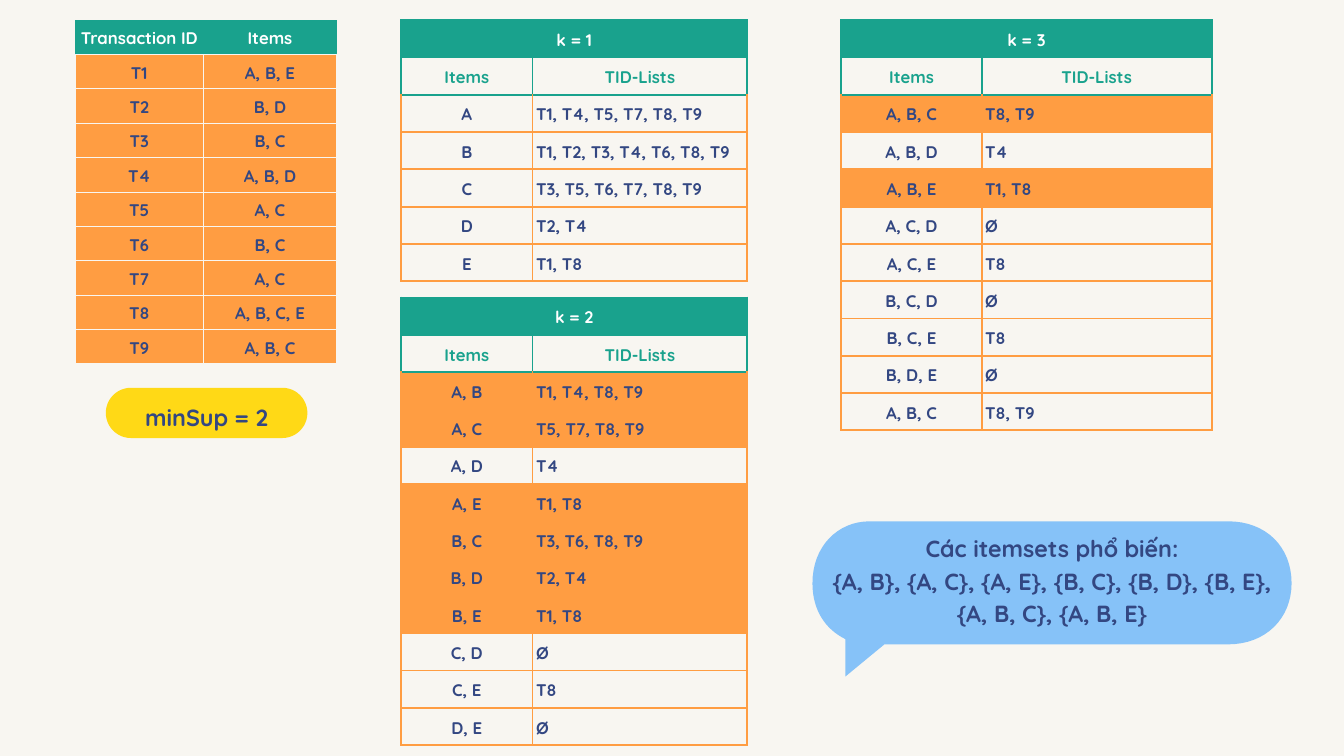
from lxml.etree import SubElement
from pptx import Presentation
from pptx.dml.color import RGBColor
from pptx.enum.shapes import MSO_SHAPE
from pptx.enum.text import MSO_ANCHOR, PP_ALIGN
from pptx.oxml.ns import qn
from pptx.util import Cm, Pt

CREAM, GREEN, ORANGE = "F8F6F1", "19A28D", "FF9D42"
NAVY, WHITE, BLUE, YELLOW = "334782", "FFFFFF", "86C2F8", "FFD916"


def paint(fill, color):
    fill.solid()
    fill.fore_color.rgb = RGBColor.from_string(color)


def write(frame, *lines, size=18, color=NAVY, align=PP_ALIGN.CENTER, spacing=25.2):
    frame.word_wrap = True
    for i, line in enumerate(lines):
        paragraph = frame.add_paragraph() if i else frame.paragraphs[0]
        paragraph.alignment = align
        paragraph.line_spacing = Pt(spacing)
        run = paragraph.add_run()
        run.text = line
        run.font.name, run.font.size, run.font.bold = "Quicksand", Pt(size), True
        paint(run.font.fill, color)


prs = Presentation()
prs.slide_width, prs.slide_height = Cm(50.8), Cm(28.58)
slide = prs.slides.add_slide(prs.slide_layouts[6])
paint(slide.background.fill, CREAM)
shapes = slide.shapes

# Transactions, then the candidate itemsets of each size k
transactions = ["A, B, E", "B, D", "B, C", "A, B, D", "A, C",
                "B, C", "A, C", "A, B, C, E", "A, B, C"]
tid_header = [("Items", "TID-Lists")]
singles = [("A", "T1, T4, T5, T7, T8, T9"), ("B", "T1, T2, T3, T4, T6, T8, T9"),
           ("C", "T3, T5, T6, T7, T8, T9"), ("D", "T2, T4"), ("E", "T1, T8")]
pairs = [("A, B", "T1, T4, T8, T9"), ("A, C", "T5, T7, T8, T9"), ("A, D", "T4"),
         ("A, E", "T1, T8"), ("B, C", "T3, T6, T8, T9"), ("B, D", "T2, T4"),
         ("B, E", "T1, T8"), ("C, D", "Ø"), ("C, E", "T8"), ("D, E", "Ø")]
triples = [("A, B, C", "T8, T9"), ("A, B, D", "T4"), ("A, B, E", "T1, T8"),
           ("A, C, D", "Ø"), ("A, C, E", "T8"), ("B, C, D", "Ø"),
           ("B, C, E", "T8"), ("B, D, E", "Ø"), ("A, B, C", "T8, T9")]

# k, left, top, column widths, row height, rows, highlighted body rows
tables = [
    (0, 2.84, 0.76, (4.85, 5.03), 1.3,
     [("Transaction ID", "Items")]
     + [(f"T{n}", items) for n, items in enumerate(transactions, 1)], range(9)),
    (1, 15.16, 0.76, (4.97, 8.12), 1.41, tid_header + singles, ()),
    (2, 15.16, 11.25, (4.97, 8.12), 1.41, tid_header + pairs, (0, 1, 3, 4, 5, 6)),
    (3, 31.8, 0.76, (5.31, 8.69), 1.41, tid_header + triples, (0, 2)),
]

for k, left, top, widths, row_height, rows, highlighted in tables:
    if k:
        rows = [(f"k = {k}", "")] + rows
    header_rows = 2 if k else 1
    margin = Cm(0.13 if k else 0.08)
    table = shapes.add_table(len(rows), 2, Cm(left), Cm(top), Cm(sum(widths)),
                             Cm(row_height * len(rows))).table
    table.first_row = table.horz_banding = False
    for column, width in zip(table.columns, widths):
        column.width = Cm(width)
    if k:
        table.cell(0, 0).merge(table.cell(0, 1))

    for r, row in enumerate(rows):
        table.rows[r].height = Cm(row_height)
        for c, text in enumerate(row):
            cell = table.cell(r, c)
            cell.vertical_anchor = MSO_ANCHOR.MIDDLE
            cell.margin_left = cell.margin_right = margin
            cell.margin_top = cell.margin_bottom = margin

            # Borders come before the fill in the cell properties
            properties = cell._tc.get_or_add_tcPr()
            for side in ("lnL", "lnR", "lnT", "lnB"):
                border = SubElement(properties, qn(f"a:{side}"))
                if not k and r == 0 and side != "lnB":
                    border.set("w", "0")
                    SubElement(border, qn("a:noFill"))
                    continue
                border.set("w", str(Pt(2.25 if k else 1.3)))
                green = r < 2 or (r == 2 and side == "lnT")
                color = (GREEN if green else ORANGE) if k else CREAM
                solid = SubElement(border, qn("a:solidFill"))
                SubElement(solid, qn("a:srgbClr")).set("val", color)

            if r == 0:
                paint(cell.fill, GREEN)
            elif r - header_rows in highlighted:
                paint(cell.fill, ORANGE)
            else:
                cell.fill.background()

            if text:
                is_tid_list = k and c == 1 and r >= header_rows
                write(cell.text_frame, text,
                      color=WHITE if r == 0 else GREEN if r < header_rows else NAVY,
                      align=PP_ALIGN.LEFT if is_tid_list else PP_ALIGN.CENTER)

# Speech bubble: Bézier curves run anticlockwise, with the tail after the second
curves = [
    [(32.87, 19.71), (31.67, 19.71), (30.71, 20.65), (30.71, 22.05)],
    [(30.71, 22.05), (30.71, 23.09), (31.22, 23.8), (31.95, 24.16)],
    [(46.43, 24.36), (47.83, 24.36), (48.82, 23.39), (48.82, 22.05)],
    [(48.82, 22.05), (48.82, 20.65), (47.83, 19.71), (46.43, 19.71)],
]
tail = [(31.95, 25.58), (33.43, 24.36)]
steps = 16
outline = []
for i, curve in enumerate(curves):
    if i == 2:
        outline += tail
    for t in (step / steps for step in range(steps + 1)):
        weights = ((1 - t) ** 3, 3 * t * (1 - t) ** 2, 3 * t ** 2 * (1 - t), t ** 3)
        outline.append([sum(w * p[axis] for w, p in zip(weights, curve))
                        for axis in (0, 1)])
outline = [(Cm(x), Cm(y)) for x, y in outline]
builder = shapes.build_freeform(*outline[0])
builder.add_line_segments(outline[1:])
bubble = builder.convert_to_shape()

pill = shapes.add_shape(MSO_SHAPE.ROUNDED_RECTANGLE,
                        Cm(4), Cm(14.66), Cm(7.62), Cm(1.9))
pill.adjustments[0] = 0.5

for shape, color in ((bubble, BLUE), (pill, YELLOW)):
    paint(shape.fill, color)
    shape.line.fill.background()
    shape.shadow.inherit = False

# Labels: left, top, width, height, line spacing, lines
labels = [
    (30.71, 19.63, 18.11, 4.47, 35,
     ["Các itemsets phổ biến:",
      "{A, B}, {A, C}, {A, E}, {B, C}, {B, D}, {B, E}, {A, B, C}, {A, B, E}"]),
    (4, 15.16, 7.62, 1.42, 25.2, ["minSup = 2"]),
]
for left, top, width, height, spacing, lines in labels:
    frame = shapes.add_textbox(Cm(left), Cm(top), Cm(width), Cm(height)).text_frame
    frame.vertical_anchor = MSO_ANCHOR.MIDDLE
    frame.margin_left = frame.margin_right = Cm(0.15)
    frame.margin_top = frame.margin_bottom = Cm(0.15)
    write(frame, *lines, size=25, spacing=spacing)

prs.save("out.pptx")
